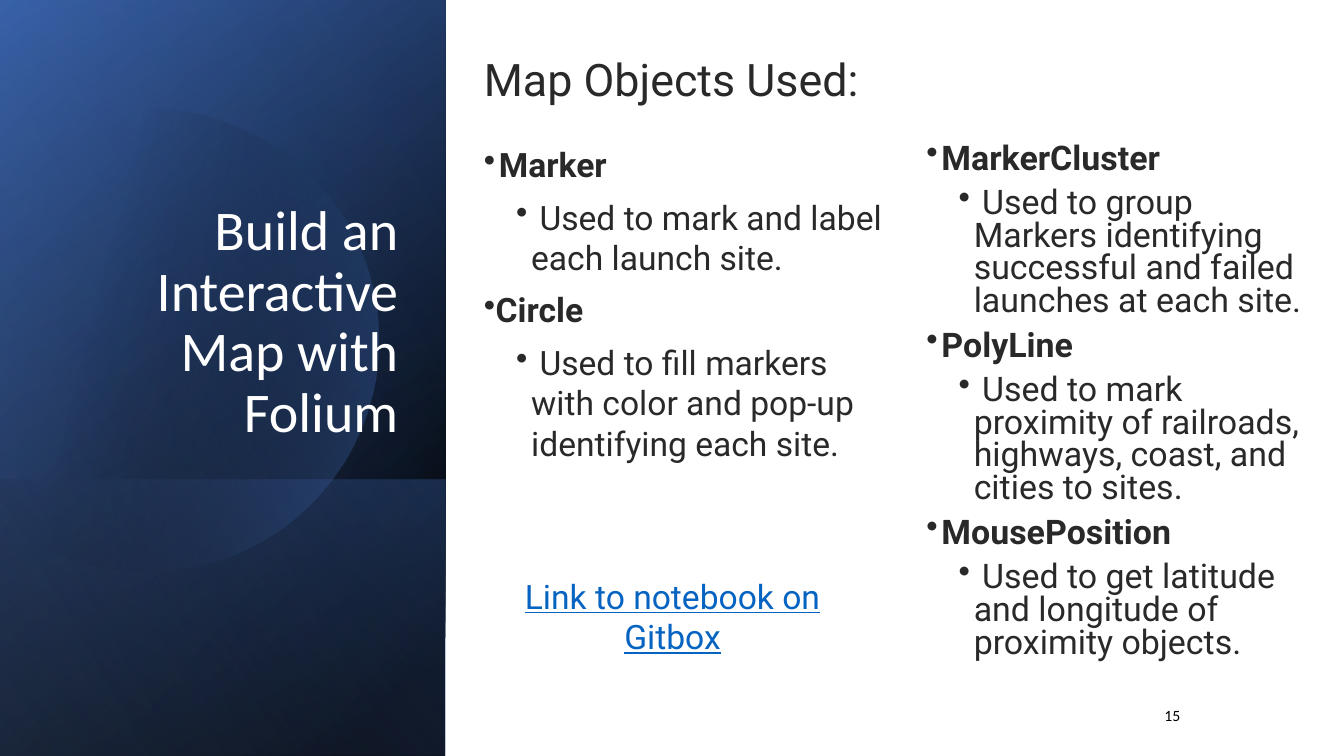
import math

import pptx
import pptx.dml.color
import pptx.enum.shapes
import pptx.enum.text
import pptx.oxml
import pptx.oxml.ns
import pptx.util
from lxml import etree

Pt = pptx.util.Pt
Align = pptx.enum.text.PP_ALIGN
Anchor = pptx.enum.text.MSO_ANCHOR
RECT = pptx.enum.shapes.MSO_SHAPE.RECTANGLE
WIDE, HIGH = pptx.util.Inches(13.33), pptx.util.Inches(7.5)
INK = "292929"
MAIN = {"name": "Roboto", "size": Pt(24), "color": INK}

# Boxes are left, top, width, height in percent of the slide.
PANEL = (0, 0, 33.15, 100)
FOOT = (0, 63.47, 33.15, 36.53)
TITLE = (4.8, 24.53, 25.58, 34.93)
HEAD = (35.26, 6.13, 29.41, 10.67)
LEFT = (35.26, 18.4, 31.73, 53.33)
RIGHT = (68.19, 18.4, 30.68, 77.87)
LINK = (35.71, 75.47, 28.66, 12.13)
PAGE = (85.9, 92.67, 14.1, 3.73)

# Marker and detail: left margin and indent in inches.
TOP, SUB, FLUSH = (0.15, -0.15), (0.47, -0.15), (0, -0.19)


def paint(hexa):
    return pptx.dml.color.RGBColor.from_string(hexa)


def place(box):
    sides = zip(box, (WIDE, HIGH, WIDE, HIGH))
    return [round(part * side / 100) for part, side in sides]


def shade(shape, angle, stops):
    """Fill with a gradient; each stop is position, colour, opacity in percent."""
    shape.shadow.inherit = False
    shape.line.fill.background()
    shape.fill.gradient()
    grad = shape._element.spPr.find(pptx.oxml.ns.qn("a:gradFill"))
    marks = "".join(
        f'<a:gs pos="{pos * 1000}"><a:srgbClr val="{hexa}">'
        f'<a:alpha val="{clear * 1000}"/></a:srgbClr></a:gs>'
        for pos, hexa, clear in stops)
    fresh = pptx.oxml.parse_xml(
        f'<a:gradFill {pptx.oxml.ns.nsdecls("a")} rotWithShape="1">'
        f'<a:gsLst>{marks}</a:gsLst>'
        f'<a:lin ang="{angle * 60000}" scaled="0"/></a:gradFill>')
    grad.getparent().replace(grad, fresh)


def layer(slide, box, angle, stops):
    """Add a flipped rectangle, turned a quarter, that covers the box."""
    x, y, w, h = place(box)
    shape = slide.shapes.add_shape(
        RECT, x + (w - h) // 2, y + (h - w) // 2, h, w)
    shape.rotation = 90
    shape._element.spPr.xfrm.set("flipH", "1")
    shade(shape, angle, stops)


def disc(slide, box, angle, stops):
    """Add a circle cut off by the left edge of the box."""
    x, y, w, h = place(box)
    mid, row, rad = x + 0.33 * w, y + 0.45 * h, 0.52 * w
    end = math.acos((x - mid) / rad)
    steps = 120
    turns = [end * (2 * i / steps - 1) for i in range(steps + 1)]
    dots = [(round(mid + rad * math.cos(t)), round(row + rad * math.sin(t)))
            for t in turns]
    path = slide.shapes.build_freeform(*dots[0])
    path.add_line_segments(dots[1:], close=True)
    shade(path.convert_to_shape(), angle, stops)


def panel(slide, box):
    layer(slide, box, 50, [(8, "000000", 100), (100, "2F5597", 100)])
    layer(slide, box, 30, [(0, "000000", 0), (99, "4472C4", 46)])
    layer(slide, FOOT, 130, [(2, "4472C4", 29), (100, "000000", 30)])
    disc(slide, box, 14, [(29, "000000", 0), (100, "4472C4", 43)])
    layer(slide, box, 120, [(0, "000000", 0), (99, "8FAADC", 11)])


def style(part, looks):
    for key, value in looks.items():
        if key == "color":
            part.color.rgb = paint(value)
        else:
            setattr(part, key, value)


def write(para, text, font, form):
    run = para.add_run()
    run.text = text
    style(run.font, font)
    style(para, form)


def frame(slide, box):
    body = slide.shapes.add_textbox(*place(box)).text_frame
    body.word_wrap = True
    return body


def label(slide, box, text, font, **form):
    write(frame(slide, box).paragraphs[0], text, font, form)


def bullet(para, margin, indent):
    props = para._p.get_or_add_pPr()
    props.set("marL", str(pptx.util.Inches(margin)))
    props.set("indent", str(pptx.util.Inches(indent)))
    etree.SubElement(props, pptx.oxml.ns.qn("a:buChar")).set("char", "•")


def column(slide, box, items, size, pitch):
    """List each term in bold with its use below it."""
    body = frame(slide, box)
    rows = []
    for term, use, inset in items:
        rows += [(term, inset, 0), (" " + use, SUB, 1)]
    for i, (text, inset, level) in enumerate(rows):
        para = body.add_paragraph() if i else body.paragraphs[0]
        bullet(para, *inset)
        form = {"level": level, "line_spacing": pitch,
                "space_before": Pt(8.7 if i else 0)}
        write(para, text, MAIN | {"size": Pt(size), "bold": not level}, form)


def title(slide, box, text):
    shape = slide.shapes.title
    sides = zip(("left", "top", "width", "height"), place(box))
    style(shape, dict(sides))
    body = shape.text_frame
    style(body, {"word_wrap": True, "vertical_anchor": Anchor.BOTTOM,
                 "auto_size": pptx.enum.text.MSO_AUTO_SIZE.NONE})
    font = {"name": "Calibri", "size": Pt(40), "color": "FFFFFF"}
    write(body.paragraphs[0], text, font,
          {"alignment": Align.RIGHT, "line_spacing": 0.9})
    slide.shapes._spTree.append(shape._element)


def main():
    deck = pptx.Presentation()
    deck.slide_width, deck.slide_height = WIDE, HIGH
    slide = deck.slides.add_slide(deck.slide_layouts.get_by_name("Title Only"))
    panel(slide, PANEL)
    title(slide, TITLE, "Build an Interactive Map with Folium")
    label(slide, HEAD, "Map Objects Used:", MAIN | {"size": Pt(32)})
    column(slide, LEFT, [
        ("Marker", "Used to mark and label each launch site.", TOP),
        ("Circle", "Used to fill markers with color and pop-up "
         "identifying each site.", FLUSH),
    ], 24, 1.0)
    column(slide, RIGHT, [
        ("MarkerCluster", "Used to group Markers identifying successful "
         "and failed launches at each site.", TOP),
        ("PolyLine", "Used to mark proximity of railroads, highways, "
         "coast, and cities to sites.", TOP),
        ("MousePosition", "Used to get latitude and longitude of "
         "proximity objects.", TOP),
    ], 24.2, 0.8)
    label(slide, LINK, "Link to notebook on Gitbox",
          MAIN | {"color": "0563C1", "underline": True},
          alignment=Align.CENTER)
    label(slide, PAGE, "15",
          {"name": "Calibri", "size": Pt(11.2), "color": "000000"})
    deck.save("out.pptx")


if __name__ == "__main__":
    main()
